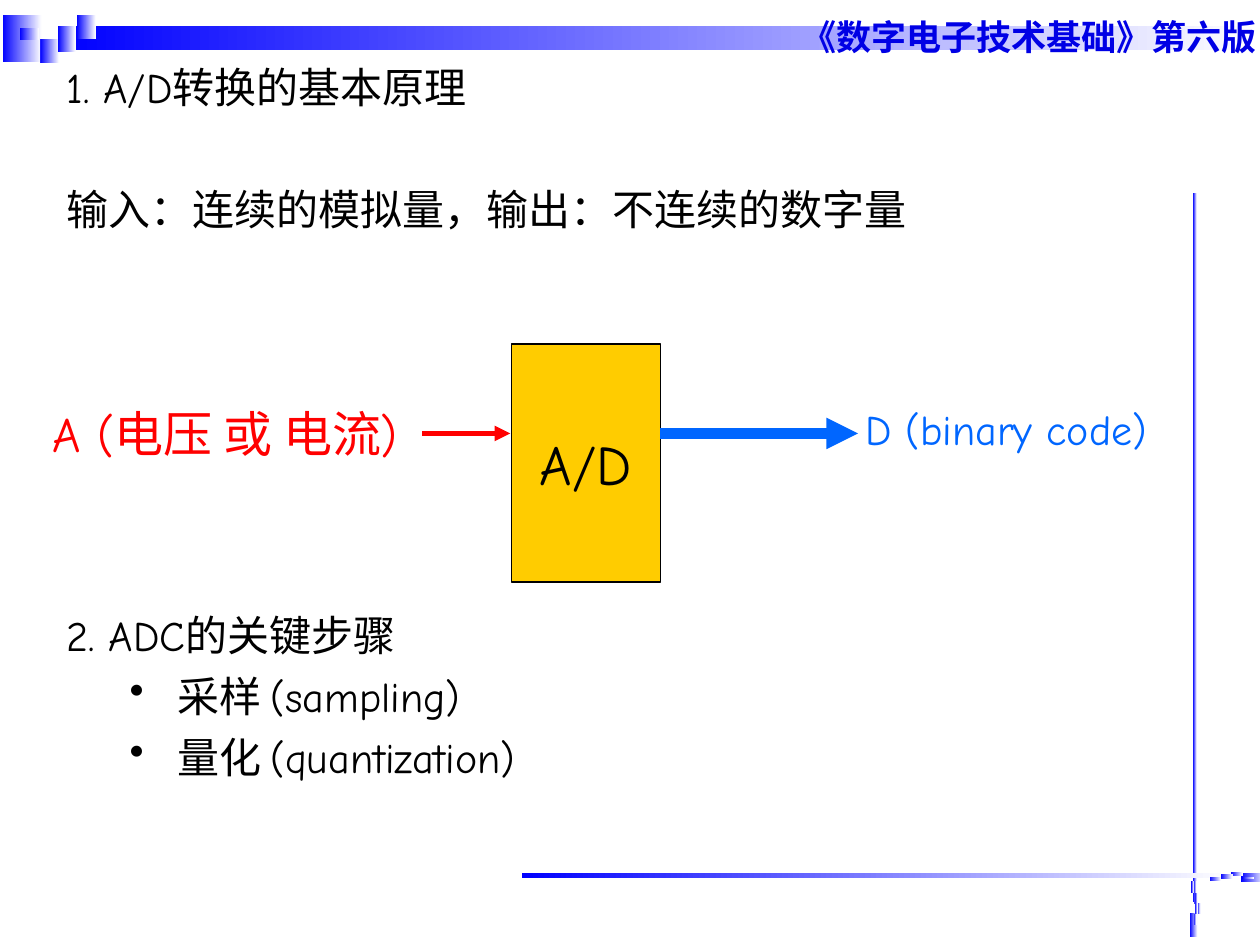
"""Build the slide on the principle and key steps of A/D conversion."""
from pptx import Presentation
from pptx.dml.color import RGBColor
from pptx.enum.shapes import MSO_CONNECTOR, MSO_SHAPE
from pptx.enum.text import MSO_ANCHOR, PP_ALIGN
from pptx.oxml.ns import qn
from pptx.oxml.xmlchemy import OxmlElement
from pptx.util import Inches, Pt

THEME = {
    "deep": "0000FF", "pale": "FFFFFF", "head": "0000E5", "ink": "000000",
    "red": "FF0000", "blue": "0066FF", "gold": "FFCC00",
    "sans": "Arial", "hand": "Comic Neue",
    "small": 20, "base": 24, "large": 28, "huge": 32,
}

TINY = (0.09, 0.02)
DECOR = [
    (0, [
        ((0.02, 0.12), (0.31, 0.37)), ((0.47, 0.21), (9.53, 0.19)),
        ((0.46, 0.21), (0.14, 0.1)), ((0.61, 0.12), (0.15, 0.1)),
        ((0.61, 0.21), (0.15, 0.1)), ((0.32, 0.31), (0.15, 0.1)),
        ((0.16, 0.22), (0.15, 0.1)), ((0.46, 0.31), (0.14, 0.1)),
        ((0.32, 0.41), (0.15, 0.09)),
    ]),
    (270, [
        ((9.38, 7.31), (0.19, 0.06)), ((6.67, 4.33), (5.63, 0.03)),
        ((9.44, 7.12), TINY), ((9.42, 7.03), TINY), ((9.44, 7.03), TINY),
        ((9.45, 7.2), TINY), ((9.44, 7.29), TINY), ((9.45, 7.12), TINY),
        ((9.47, 7.2), TINY),
    ]),
    (180, [
        ((9.85, 6.93), (0.19, 0.07)), ((4.14, 6.93), (5.63, 0.04)),
        ((9.69, 6.96), TINY), ((9.6, 6.97), TINY), ((9.6, 6.96), TINY),
        ((9.77, 6.93), TINY), ((9.86, 6.96), TINY), ((9.69, 6.94), TINY),
        ((9.77, 6.92), TINY),
    ]),
]

LABELS = [
    ("《数字电子技术基础》第六版", (6.26, 0.07, 4.06, 0.44), "small", "head", "sans", True),
    ("D (binary code)", (6.77, 3.15, 2.56, 0.5), "base", "blue", "hand", False),
    ("A (电压 或 电流)", (0.32, 3.15, 3.03, 1.04), "large", "red", "hand", False),
]
BLOCK = ("A/D", (4.06, 2.73, 1.18, 1.89))
ARROWS = [(5.24, 6.81, "blue", 6), (3.35, 4.05, "red", 3)]
AXIS = 3.44

BODY = (0.43, 0.44, 8.9, 6.26)
LINES = [
    ("1. A/D转换的基本原理", 0, 0),
    ("输入：连续的模拟量，输出：不连续的数字量", 0, 1),
    ("2. ADC的关键步骤", 0, 6),
    ("采样 (sampling)", 1, 0),
    ("量化 (quantization)", 1, 0),
]
GAP, PITCH = 6, 34.8
HANG = 0.38


def color(key):
    return RGBColor.from_string(THEME[key])


def apply(thing, values):
    for name, value in values.items():
        setattr(thing, name, value)


def write(para, text, size, tint, face="hand", bold=False):
    run = para.add_run()
    run.text = text
    apply(run.font, {"size": Pt(THEME[size]), "name": THEME[face], "bold": bold})
    run.font.color.rgb = color(tint)


def add_frame(slide, box):
    frame = slide.shapes.add_textbox(*map(Inches, box)).text_frame
    frame.word_wrap = True
    return frame


def add_decor(slide, turn, bars):
    group = slide.shapes.add_group_shape()
    for spot, size in bars:
        bar = group.shapes.add_shape(MSO_SHAPE.RECTANGLE, *map(Inches, spot + size))
        bar.rotation = turn
        bar.shadow.inherit = False
        bar.line.fill.background()
        bar.fill.gradient()
        bar.fill.gradient_angle = 0
        for stop, key in zip(bar.fill.gradient_stops, ("deep", "pale")):
            stop.color.rgb = color(key)
        bar.element.spPr.find(qn("a:gradFill")).set("rotWithShape", "0")


def add_block(slide, text, box):
    block = slide.shapes.add_shape(MSO_SHAPE.RECTANGLE, *map(Inches, box))
    block.shadow.inherit = False
    block.fill.solid()
    block.fill.fore_color.rgb = color("gold")
    block.line.color.rgb = color("ink")
    block.line.width = Pt(0.75)
    frame = block.text_frame
    apply(frame, {"word_wrap": False, "vertical_anchor": MSO_ANCHOR.MIDDLE})
    frame.paragraphs[0].alignment = PP_ALIGN.CENTER
    write(frame.paragraphs[0], text, "huge", "ink")


def add_arrow(slide, start, end, tint, width):
    ends = map(Inches, (start, AXIS, end, AXIS))
    arrow = slide.shapes.add_connector(MSO_CONNECTOR.STRAIGHT, *ends)
    arrow.line.color.rgb = color(tint)
    arrow.line.width = Pt(width)
    tip = OxmlElement("a:tailEnd")
    tip.set("type", "triangle")
    arrow.line._get_or_add_ln().append(tip)
    arrow.element.spPr.append(OxmlElement("a:effectLst"))


def add_body(slide):
    frame = add_frame(slide, BODY)
    for index, (text, level, skip) in enumerate(LINES):
        para = frame.add_paragraph() if index else frame.paragraphs[0]
        apply(para, {"level": level, "space_before": Pt(round(GAP + skip * PITCH, 1))})
        props = para._p.get_or_add_pPr()
        props.set("marL", str(Inches(HANG + level * 0.5)))
        props.set("indent", str(Inches(-HANG)))
        if level:
            mark = OxmlElement("a:buChar")
            mark.set("char", "•")
            props.append(mark)
        write(para, text, "base", "ink")


def main():
    deck = Presentation()
    apply(deck, {"slide_width": Inches(10), "slide_height": Inches(7.5)})
    slide = deck.slides.add_slide(deck.slide_layouts[6])
    for turn, bars in DECOR:
        add_decor(slide, turn, bars)
    for text, box, *style in LABELS:
        write(add_frame(slide, box).paragraphs[0], text, *style)
    add_block(slide, *BLOCK)
    for arrow in ARROWS:
        add_arrow(slide, *arrow)
    add_body(slide)
    deck.save("out.pptx")


if __name__ == "__main__":
    main()
